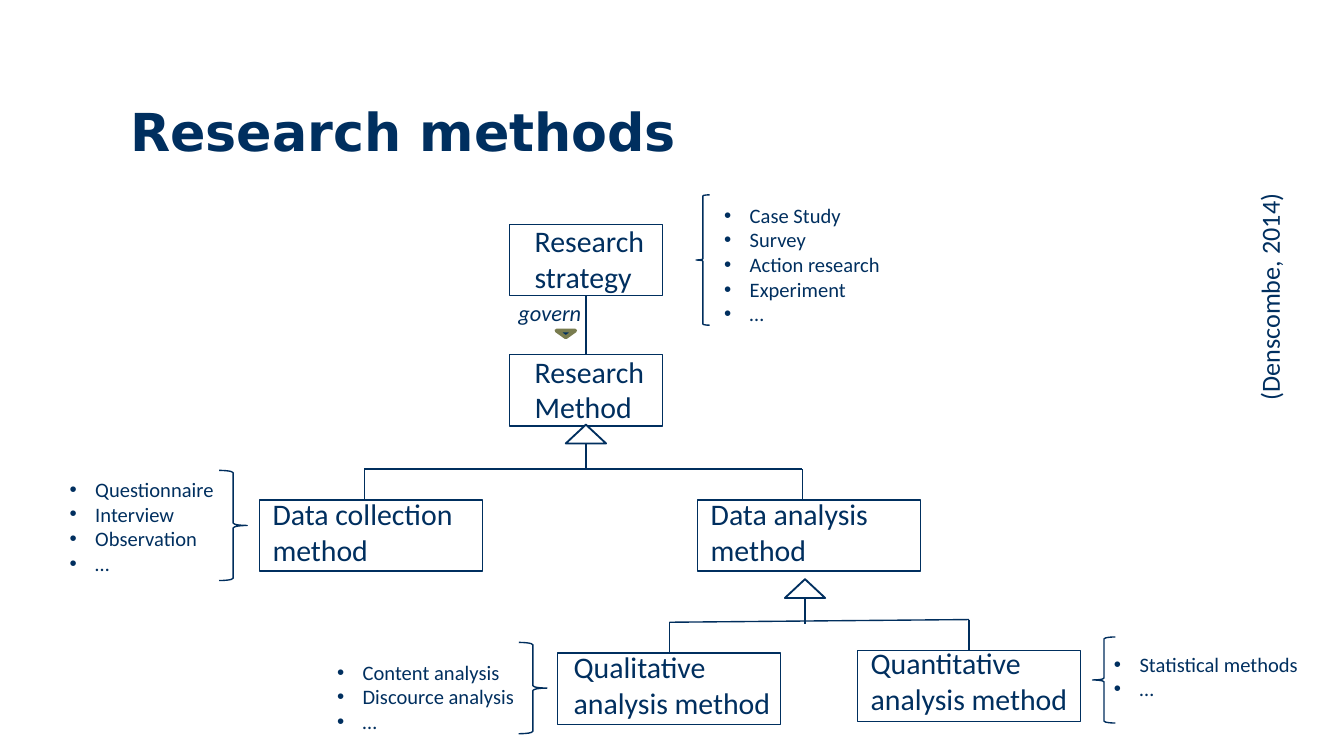
import pptx
import pptx.util
import pptx.dml.color
import pptx.enum.shapes
import pptx.enum.text
import pptx.oxml
import pptx.oxml.ns

PX = 9144  # one px is a hundredth of an inch
NAVY, LINE, WHITE, OLIVE = "002F5F", "002E5D", "FFFFFF", "797C4F"
SHAPE = pptx.enum.shapes.MSO_SHAPE
TOP, BOTTOM = 0, 2


def px(*lengths):
    return [pptx.util.Emu(round(length * PX)) for length in lengths]


def color(hex_string):
    return pptx.dml.color.RGBColor.from_string(hex_string)


def format_font(font, **values):
    font.color.rgb = color(NAVY)
    for name, value in ({"name": "Calibri"} | values).items():
        setattr(font, name, value)


def add_text(slide, box, lines, size, wrap=False, bullets=False, rotation=0, **style):
    text = slide.shapes.add_textbox(*px(*box))
    text.rotation = rotation
    frame = text.text_frame
    frame.word_wrap = wrap
    frame.auto_size = pptx.enum.text.MSO_AUTO_SIZE.SHAPE_TO_FIT_TEXT
    frame.text = "\n".join(lines)
    for paragraph in frame.paragraphs:
        if bullets:
            properties = paragraph._p.get_or_add_pPr()
            indent = px(19)[0]
            properties.set("marL", str(indent))
            properties.set("indent", str(-indent))
            for tag, key, value in (("a:buFont", "typeface", "Arial"), ("a:buChar", "char", "•")):
                bullet = pptx.oxml.ns.qn(tag)
                properties.append(properties.makeelement(bullet, {key: value}))
        for run in paragraph.runs:
            format_font(run.font, size=pptx.util.Pt(size), **style)


def add_outline(slide, kind, box, fill=WHITE, line=NAVY, width=0.75):
    shape = slide.shapes.add_shape(kind, *px(*box))
    shape.shadow.inherit = False
    if fill:
        shape.fill.solid()
        shape.fill.fore_color.rgb = color(fill)
    else:
        shape.fill.background()
    shape.line.color.rgb = color(line)
    shape.line.width = pptx.util.Pt(width)
    return shape


def add_line(slide, start, end, begin=None, finish=None):
    """Draw a line; begin and finish are (shape, side) pairs to join."""
    line = slide.shapes.add_connector(
        pptx.enum.shapes.MSO_CONNECTOR.STRAIGHT, *px(*start, *end))
    line.line.color.rgb = color(LINE)
    line.line.width = pptx.util.Pt(0.75)
    line._element.spPr.append(pptx.oxml.parse_xml(
        f"<a:effectLst {pptx.oxml.ns.nsdecls('a')}/>"))
    if begin:
        line.begin_connect(*begin)
    if finish:
        line.end_connect(*finish)


def add_title(slide, box, words):
    title = slide.shapes.title
    title.left, title.top, title.width, title.height = px(*box)
    frame = title.text_frame
    frame.text = words
    frame.vertical_anchor = pptx.enum.text.MSO_ANCHOR.TOP
    paragraph = frame.paragraphs[0]
    paragraph.alignment = pptx.enum.text.PP_ALIGN.LEFT
    format_font(paragraph.runs[0].font, name="DejaVu Sans", size=pptx.util.Pt(28), bold=True)


def add_node(slide, box, words, label_shift, label_width):
    """A class box, with its label shifted from the box's corner."""
    left, top, width, height = box
    shift_x, shift_y = label_shift
    node = add_outline(slide, SHAPE.RECTANGLE, box)
    add_text(slide, (left + shift_x, top + shift_y, label_width, 64), [words], 16, wrap=True)
    return node


def add_examples(slide, box, items, brace, brace_box):
    """A bulleted list with its brace, placed relative to the list's corner."""
    left, top, width, height = box
    shift_x, shift_y, brace_width, brace_height = brace_box
    add_text(slide, box, items, 11, bullets=True)
    add_outline(slide, brace, (left + shift_x, top + shift_y, brace_width, brace_height),
                fill=None, line=LINE)


def add_generalization(slide, apex, bar, drops, parent=None):
    """Triangle under a parent, a bar and one drop for each child.

    bar holds the two heights of the bar; drops hold (x, bottom, child).
    """
    x, y = apex
    left, right = drops[0][0], drops[-1][0]
    for (drop_x, bottom, child), height in zip(drops, bar):
        add_line(slide, (drop_x, bottom), (drop_x, height), begin=child and (child, TOP))
    add_line(slide, (left, bar[0]), (right, bar[1]))
    add_line(slide, (x, y + 33), (x, y + 1), finish=parent and (parent, BOTTOM))
    add_outline(slide, SHAPE.ISOSCELES_TRIANGLE, (x - 15, y, 30, 14), width=1)


def add_govern(slide, box, strategy, method):
    """The association between strategy and method, with its reading direction."""
    left, top, width, height = box
    add_line(slide, (436, 264), (436, 220), (method, TOP), (strategy, BOTTOM))
    add_text(slide, box, ["govern"], 12, italic=True)
    direction = add_outline(slide, SHAPE.ISOSCELES_TRIANGLE, (left + 38, top + 28, 14, 5),
                            fill=NAVY, line=OLIVE, width=2)
    direction.rotation = 180


def main():
    deck = pptx.Presentation()
    deck.slide_width = px(1000)[0]
    deck.slide_height = deck.slide_width * 9 // 16
    slide = deck.slides.add_slide(deck.slide_layouts[5])
    add_title(slide, (87, 69, 749, 65), "Research methods")

    # Classes
    strategy = add_node(slide, (379, 167, 114, 53), "Research strategy", (9, -6), 121)
    method = add_node(slide, (379, 264, 114, 53), "Research Method", (9, -6), 121)
    add_node(slide, (193, 372, 166, 53), "Data collection method", (0, -8), 156)
    add_node(slide, (519, 372, 166, 53), "Data analysis method", (0, -8), 156)
    qualitative = add_node(slide, (415, 486, 166, 53), "Qualitative analysis method",
                           (2, -8), 181)
    quantitative = add_node(slide, (638, 484, 166, 53), "Quantitative analysis method",
                            (0, -9), 190)

    # Relations
    add_generalization(slide, (436, 316), (349, 349),
                       [(271, 372, None), (597, 372, None)], method)
    add_generalization(slide, (599, 431), (463, 461),
                       [(498, 486, qualitative), (721, 484, quantitative)])
    add_govern(slide, (376, 218, 67, 30), strategy, method)

    # Examples of each class
    for box, items, brace, brace_box in (
        ((529, 146, 137, 103), ["Case Study", "Survey", "Action research", "Experiment", "…"],
         SHAPE.LEFT_BRACE, (-11, -1, 10, 97)),
        ((42, 350, 128, 84), ["Questionnaire", "Interview", "Observation", "…"],
         SHAPE.RIGHT_BRACE, (121, 0, 21, 82)),
        ((241, 486, 153, 66), ["Content analysis", "Discource analysis", "…"],
         SHAPE.RIGHT_BRACE, (145, -8, 21, 68)),
        ((819, 480, 158, 47), ["Statistical methods", "…"],
         SHAPE.LEFT_BRACE, (-6, -6, 17, 64)),
    ):
        add_examples(slide, box, items, brace, brace_box)

    # Citation along the right edge
    add_text(slide, (857, 203, 176, 34), ["(Denscombe, 2014)"], 14, rotation=270)

    deck.save("out.pptx")


if __name__ == "__main__":
    main()
